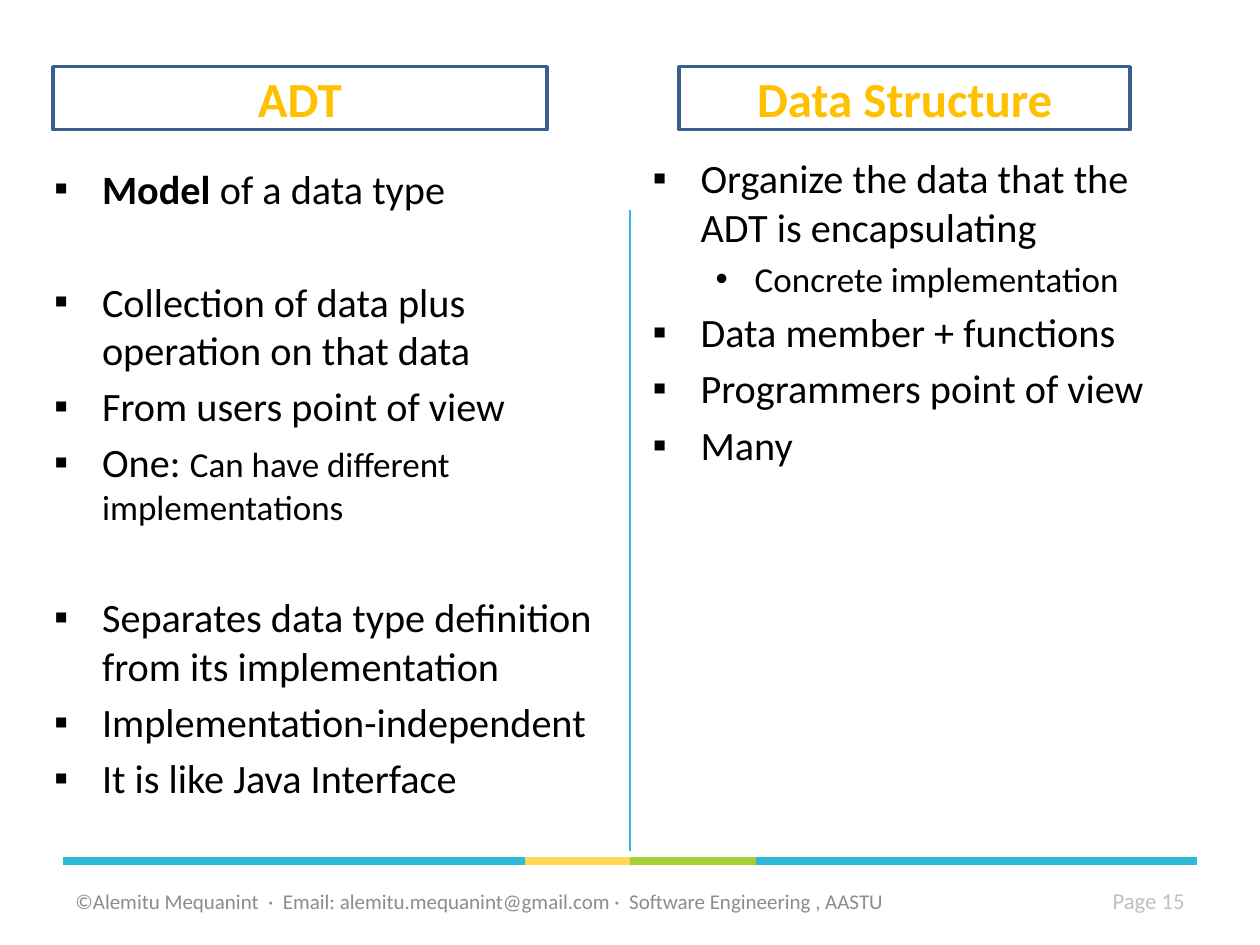
import itertools

import pptx
import pptx.dml.color
import pptx.enum.shapes
import pptx.enum.text
import pptx.oxml.ns
import pptx.util
from lxml import etree

Inches = pptx.util.Inches
Pt = pptx.util.Pt
ALIGN = pptx.enum.text.PP_ALIGN
MIDDLE = pptx.enum.text.MSO_ANCHOR.MIDDLE

COLORS = {
    "teal": "31BAD5", "yellow": "FFD757", "green": "A4CF37",
    "black": "000000", "footer": "8C8C8C", "page": "C0C0C0",
    "border": "3A5F8C", "heading": "FFC000",
}
GROUP_GAP = 37  # points before an item that opens a new group

# Each item: runs of (text, font overrides), level, points before
ADT_ITEMS = [
    ([("Model", {"bold": True}), (" of a data type", {})], 0, 0),
    ([("Collection of data plus operation on that data", {})], 0, GROUP_GAP),
    ([("From users point of view", {})], 0, 4.6),
    ([("One: ", {}), ("Can have different implementations", {"size": Pt(20)})], 0, 4.6),
    ([("Separates data type definition from its implementation", {})], 0, GROUP_GAP),
    ([("Implementation-independent", {})], 0, 4.6),
    ([("It is like Java Interface", {})], 0, 4.6),
]
STRUCTURE_ITEMS = [
    ([("Organize the data that the ADT is encapsulating", {})], 0, 0),
    ([("Concrete implementation", {})], 1, 4),
    ([("Data member + functions", {})], 0, 4.6),
    ([("Programmers point of view", {})], 0, 4.6),
    ([("Many", {})], 0, 4.6),
]
# Per level: bullet, left margin, hanging indent, size
LEVELS = [("▪", 0.38, 0.38, 23), ("•", 0.81, 0.31, 20)]


class SlideBuilder:
    font_name = "Calibri"

    def __init__(self, slide):
        self.slide = slide

    def color(self, name):
        return pptx.dml.color.RGBColor.from_string(COLORS[name])

    def style(self, paragraph, size, color, bold=False):
        font = paragraph.font
        font.name, font.size, font.bold = self.font_name, Pt(size), bold
        font.color.rgb = self.color(color)

    def line(self, start, end, color, width):
        connector = self.slide.shapes.add_connector(
            pptx.enum.shapes.MSO_CONNECTOR.STRAIGHT,
            *(Inches(value) for value in (*start, *end)))
        connector.line.color.rgb = self.color(color)
        connector.line.width = Pt(width)
        properties = connector._element.spPr
        etree.SubElement(properties, pptx.oxml.ns.qn("a:effectLst"))

    def heading(self, text, left, width):
        box = self.slide.shapes.add_shape(
            pptx.enum.shapes.MSO_SHAPE.RECTANGLE,
            Inches(left), Inches(0.53), Inches(width), Inches(0.5))
        box.shadow.inherit = False
        box.fill.background()
        box.line.color.rgb = self.color("border")
        box.line.width = Pt(2)
        frame = box.text_frame
        frame.vertical_anchor = MIDDLE
        paragraph = frame.paragraphs[0]
        paragraph.text = text
        paragraph.alignment = ALIGN.CENTER
        self.style(paragraph, 28, "heading", bold=True)

    def bullet(self, paragraph, level):
        char, margin, hanging, _ = LEVELS[level]
        paragraph.level = level
        properties = paragraph._p.get_or_add_pPr()
        properties.set("marL", str(Inches(margin)))
        properties.set("indent", str(-Inches(hanging)))
        for tag, key, value in (("a:buFont", "typeface", "Arial"),
                                ("a:buChar", "char", char)):
            etree.SubElement(properties, pptx.oxml.ns.qn(tag)).set(key, value)

    def bullet_list(self, placeholder, items, left, top, width, height):
        placeholder.left, placeholder.top = Inches(left), Inches(top)
        placeholder.width, placeholder.height = Inches(width), Inches(height)
        frame = placeholder.text_frame
        frame.word_wrap = True
        frame.auto_size = pptx.enum.text.MSO_AUTO_SIZE.NONE
        for index, (runs, level, before) in enumerate(items):
            paragraph = frame.add_paragraph() if index else frame.paragraphs[0]
            paragraph.space_before = Pt(before)
            self.bullet(paragraph, level)
            self.style(paragraph, LEVELS[level][3], "black")
            for text, overrides in runs:
                run = paragraph.add_run()
                run.text = text
                for attribute, value in overrides.items():
                    setattr(run.font, attribute, value)

    def footer(self, text, left, width, size, color, alignment):
        box = self.slide.shapes.add_textbox(
            Inches(left), Inches(6.95), Inches(width), Inches(0.4))
        frame = box.text_frame
        frame.word_wrap = True
        frame.vertical_anchor = MIDDLE
        paragraph = frame.paragraphs[0]
        paragraph.text = text
        paragraph.alignment = alignment
        self.style(paragraph, size, color)


def main():
    deck = pptx.Presentation()
    deck.slide_width, deck.slide_height = Inches(10), Inches(7.5)
    slide = deck.slides.add_slide(deck.slide_layouts.get_by_name("Two Content"))
    title = slide.shapes.title._element
    title.getparent().remove(title)
    builder = SlideBuilder(slide)

    band_stops = itertools.pairwise([0.5, 4.17, 5, 6, 9.5])
    for (start, end), color in zip(band_stops, ("teal", "yellow", "green", "teal")):
        builder.line((start, 6.83), (end, 6.83), color, 4.5)
    builder.line((5, 1.67), (5, 6.75), "teal", 1.5)

    builder.bullet_list(slide.placeholders[1], ADT_ITEMS, 0.33, 1.25, 4.58, 5.45)
    builder.bullet_list(slide.placeholders[2], STRUCTURE_ITEMS, 5.08, 1.17, 4.42, 5.53)
    builder.heading("ADT", 0.42, 3.92)
    builder.heading("Data Structure", 5.39, 3.58)

    builder.footer("Page 15", 8.17, 1.33, 13, "page", ALIGN.RIGHT)
    builder.footer(
        "©Alemitu Mequanint  ·  Email: alemitu.mequanint@gmail.com ·  "
        "Software Engineering , AASTU", 0.5, 7.58, 12, "footer", ALIGN.LEFT)
    deck.save("out.pptx")


if __name__ == "__main__":
    main()
